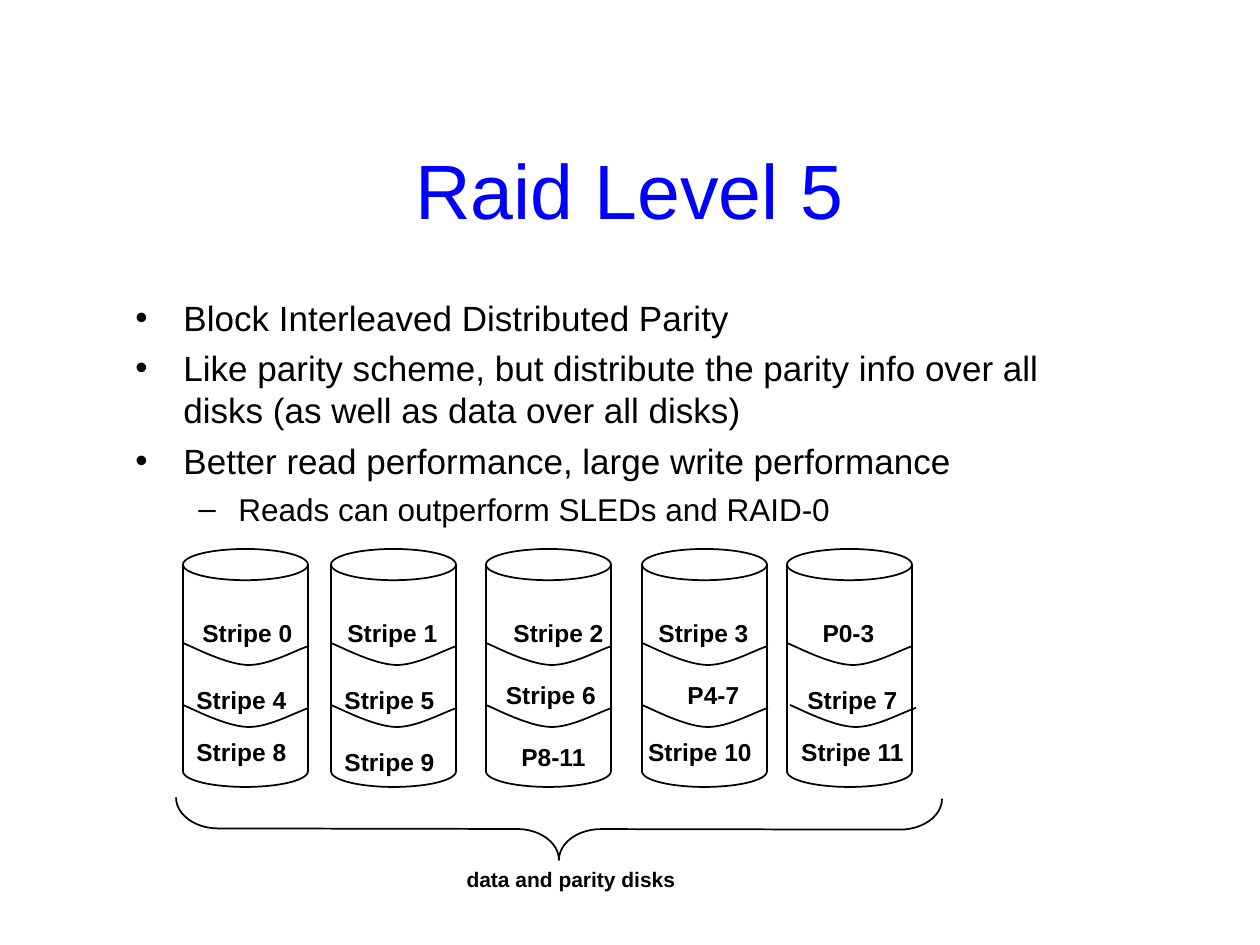
from dataclasses import dataclass
from lxml.etree import SubElement
from pptx import Presentation
from pptx.dml.color import RGBColor
from pptx.enum.shapes import MSO_SHAPE as SHAPE
from pptx.enum.text import MSO_ANCHOR as ANCHOR, PP_ALIGN as ALIGN
from pptx.oxml.ns import qn
from pptx.util import Pt

SCALE = 914400 / 126  # EMU per px


@dataclass(frozen=True)
class Theme:
    font: str = "Arial"
    ink: RGBColor = RGBColor(0, 0, 0)
    title_color: RGBColor = RGBColor(0, 0, 255)
    title: int = 44
    bullet: int = 20
    sub_bullet: int = 18
    label: int = 14
    caption: int = 12
    line: int = 1


THEME = Theme()

# Per level: marker, text indent px, hanging px, size, space before pt
LEVELS = [("•", 48, 48, THEME.bullet, 5), ("–", 103, 40, THEME.sub_bullet, 4.5)]
BULLETS = [
    (0, "Block Interleaved Distributed Parity"),
    (0, "Like parity scheme, but distribute the parity info over all disks "
        "(as well as data over all disks)"),
    (0, "Better read performance, large write performance"),
    (1, "Reads can outperform SLEDs and RAID-0"),
]

DISK_TOP, DISK_W, DISK_H = 549, 125, 238
WAVE_TOPS = (94, 156)
# Start point, then two control points and an end point per curve
WAVE = [(0, 0), (10, 4), (42, 21), (64, 22), (85, 23), (113, 7), (126, 3)]
LABEL_H = 42
# Per disk: left edge, shift of the lower wave, labels as (text, centre x, top, width)
DISKS = [
    (183, 0, [("Stripe 0", 64, 63, 115), ("Stripe 4", 58, 130, 125), ("Stripe 8", 58, 182, 125)]),
    (331, 0, [("Stripe 1", 61, 63, 115), ("Stripe 5", 58, 130, 127), ("Stripe 9", 58, 192, 127)]),
    (486, 0, [("Stripe 2", 72, 63, 115), ("Stripe 6", 65, 125, 116), ("P8-11", 67, 187, 113)]),
    (642, 0, [("Stripe 3", 61, 63, 115), ("P4-7", 71, 125, 101), ("Stripe 10", 58, 182, 140)]),
    (787, 3, [("P0-3", 61, 63, 77), ("Stripe 7", 65, 130, 115), ("Stripe 11", 65, 182, 129)]),
]


def px(*lengths):
    return [round(n * SCALE) for n in lengths]


def style(font, size, color=THEME.ink, bold=False):
    font.name, font.size, font.bold = THEME.font, Pt(size), bold
    font.color.rgb = color


def outline(sp):
    sp.shadow.inherit = False
    sp.fill.background()
    sp.line.color.rgb = THEME.ink
    sp.line.width = Pt(THEME.line)


def add_text(slide, box, text, size, color=THEME.ink, bold=False, wrap=False):
    tf = slide.shapes.add_textbox(*px(*box)).text_frame
    tf.word_wrap = wrap
    tf.text = text
    p = tf.paragraphs[0]
    p.alignment = ALIGN.CENTER
    style(p.runs[0].font, size, color, bold)
    return tf


def add_title(slide, box):
    tf = add_text(slide, box, "Raid Level 5", THEME.title, THEME.title_color, wrap=True)
    tf.vertical_anchor = ANCHOR.BOTTOM


def add_bullets(slide, box):
    tf = slide.shapes.add_textbox(*px(*box)).text_frame
    tf.word_wrap = True
    for i, (level, text) in enumerate(BULLETS):
        marker, indent, hanging, size, space = LEVELS[level]
        p = tf.add_paragraph() if i else tf.paragraphs[0]
        p.text = text
        p.level = level
        if i:
            p.space_before = Pt(space)
        pPr = p._p.get_or_add_pPr()
        left, hang = px(indent, hanging)
        pPr.set("marL", str(left))
        pPr.set("indent", str(-hang))
        SubElement(pPr, qn("a:buFont")).set("typeface", THEME.font)
        SubElement(pPr, qn("a:buChar")).set("char", marker)
        style(p.runs[0].font, size)


def curve_lines(sp):
    """Turn each run of three line segments into one cubic curve."""
    path = next(sp._element.iter(qn("a:path")))
    lines = path.findall(qn("a:lnTo"))
    for i in range(0, len(lines), 3):
        curve = SubElement(path, qn("a:cubicBezTo"))
        for line in lines[i:i + 3]:
            curve.append(line[0])
            path.remove(line)


def add_wave(slide, left, top):
    points = [tuple(px(left + x, top + y)) for x, y in WAVE]
    builder = slide.shapes.build_freeform(*points[0], scale=1.0)
    builder.add_line_segments(points[1:], close=False)
    sp = builder.convert_to_shape()
    curve_lines(sp)
    outline(sp)


def add_disk(slide, box, shift, labels):
    left, top, _, _ = box
    can = slide.shapes.add_shape(SHAPE.CAN, *px(*box))
    can.adjustments[0] = 0.25
    outline(can)
    for wave_top, dx in zip(WAVE_TOPS, (0, shift)):
        add_wave(slide, left + dx, top + wave_top)
    for text, cx, y, width in labels:
        add_text(slide, (left + cx - width // 2, top + y, width, LABEL_H),
                 text, THEME.label, bold=True)


def add_brace(slide, box):
    """Downward brace filling the box, with its caption below the tip."""
    left, top, width, height = box
    cx, cy = left + width // 2, top + height // 2
    brace = slide.shapes.add_shape(
        SHAPE.LEFT_BRACE, *px(cx - height // 2, cy - width // 2, height, width))
    brace.rotation = 270.1
    brace.adjustments[0] = 0.68
    outline(brace)
    add_text(slide, (cx - 105, top + height, 234, 38),
             "data and parity disks", THEME.caption, bold=True)


def main():
    prs = Presentation()
    prs.slide_width, prs.slide_height = px(1260, 945)
    slide = prs.slides.add_slide(prs.slide_layouts[6])
    add_title(slide, (94, 83, 1071, 158))
    add_bullets(slide, (123, 290, 1012, 515))
    for left, shift, labels in DISKS:
        add_disk(slide, (left, DISK_TOP, DISK_W, DISK_H), shift, labels)
    add_brace(slide, (176, 798, 766, 62))
    prs.save("out.pptx")


if __name__ == "__main__":
    main()
